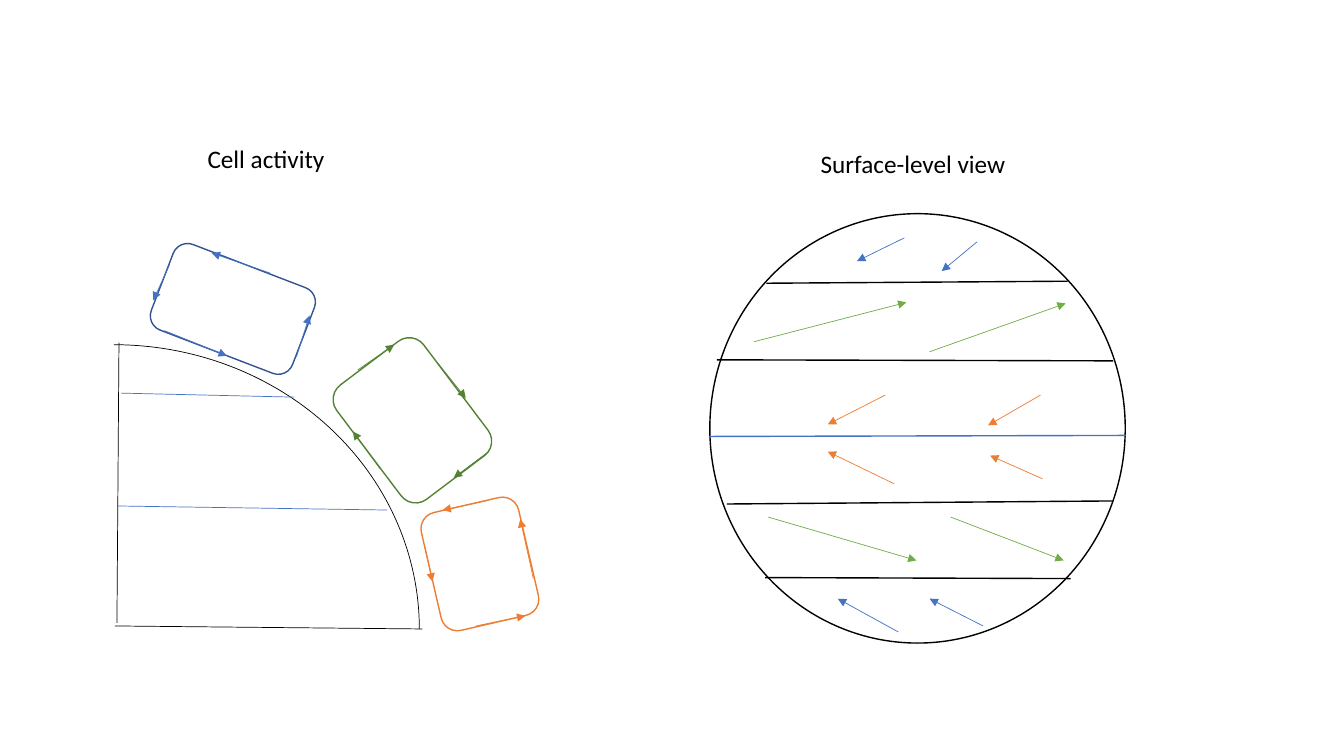
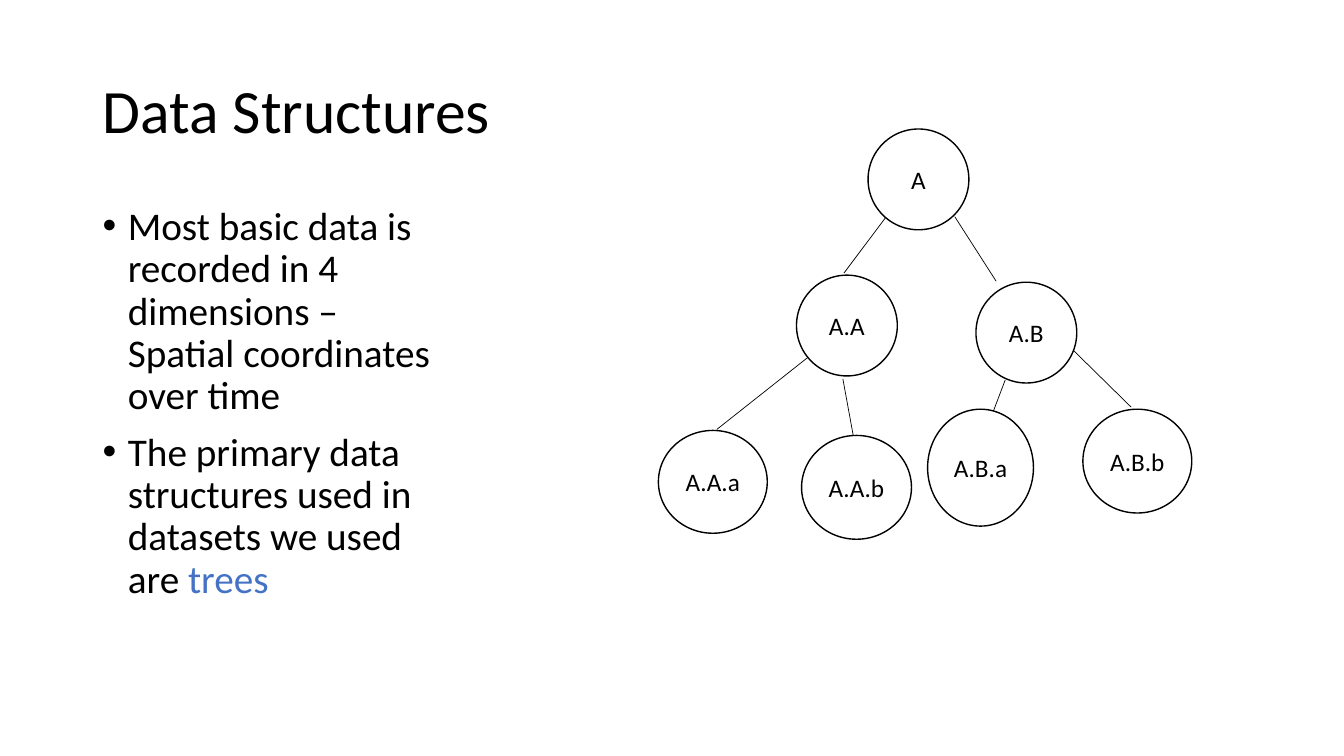
from dataclasses import dataclass
from typing import Optional

import pptx
import pptx.dml.color
import pptx.enum.shapes
import pptx.enum.text
import pptx.oxml
import pptx.oxml.ns
import pptx.util
from pptx.util import Inches

RGBColor = pptx.dml.color.RGBColor
MSO_SHAPE = pptx.enum.shapes.MSO_SHAPE
BLACK = RGBColor(0x00, 0x00, 0x00)
WHITE = RGBColor(0xFF, 0xFF, 0xFF)
BLUE = RGBColor(0x44, 0x72, 0xC4)
NAVY = RGBColor(0x32, 0x54, 0x91)
ORANGE = RGBColor(0xED, 0x7D, 0x31)
GREEN = RGBColor(0x70, 0xAD, 0x47)
FOREST = RGBColor(0x54, 0x82, 0x35)
FONT = "Calibri"
THIN = 0.5
THICK = 1
LABEL_SIZE = 18
Box = tuple[float, float, float, float]


@dataclass(frozen=True)
class Line:
    x1: float
    y1: float
    x2: float
    y2: float


@dataclass(frozen=True)
class LineGroup:
    color: RGBColor
    lines: list[Line]
    width: float = THIN
    arrow: bool = False


@dataclass(frozen=True)
class Cell:
    box: Box
    rotation: float
    outline: RGBColor
    flow: LineGroup


@dataclass(frozen=True)
class Node:
    label: str
    box: Box


def draw_lines(slide, group: LineGroup) -> None:
    for line in group.lines:
        connector = slide.shapes.add_connector(
            pptx.enum.shapes.MSO_CONNECTOR.STRAIGHT,
            Inches(line.x1), Inches(line.y1), Inches(line.x2), Inches(line.y2),
        )
        connector.line.color.rgb = group.color
        connector.line.width = pptx.util.Pt(group.width)
        properties = connector.element.spPr
        if group.arrow:
            stroke = properties.find(pptx.oxml.ns.qn("a:ln"))
            head = pptx.oxml.parse_xml(
                f'<a:tailEnd {pptx.oxml.ns.nsdecls("a")} type="triangle"/>'
            )
            stroke.append(head)
        properties.append(
            pptx.oxml.parse_xml(f'<a:effectLst {pptx.oxml.ns.nsdecls("a")}/>')
        )


def draw_outline(
    slide, kind: MSO_SHAPE, box: Box, color: RGBColor = BLACK,
    width: float = THICK, fill: Optional[RGBColor] = WHITE, rotation: float = 0,
):
    outline = slide.shapes.add_shape(kind, *map(Inches, box))
    outline.shadow.inherit = False
    outline.rotation = rotation
    if fill is None:
        outline.fill.background()
    else:
        outline.fill.solid()
        outline.fill.fore_color.rgb = fill
    outline.line.color.rgb = color
    outline.line.width = pptx.util.Pt(width)
    return outline


def add_run(paragraph, text: str, size: float, color: RGBColor = BLACK) -> None:
    run = paragraph.add_run()
    run.text = text
    run.font.name = FONT
    run.font.size = pptx.util.Pt(size)
    run.font.color.rgb = color


def add_text_frame(slide, box: Box):
    frame = slide.shapes.add_textbox(*map(Inches, box)).text_frame
    frame.word_wrap = True
    return frame


def draw_label(slide, text: str, box: Box) -> None:
    add_run(add_text_frame(slide, box).paragraphs[0], text, LABEL_SIZE)


def draw_title(slide, text: str) -> None:
    frame = add_text_frame(slide, (0.92, 0.4, 11.5, 1.45))
    frame.vertical_anchor = pptx.enum.text.MSO_ANCHOR.MIDDLE
    frame.paragraphs[0].line_spacing = 0.9
    add_run(frame.paragraphs[0], text, 44)


def draw_bullets(slide, box: Box, bullets: list[list[tuple[str, RGBColor]]]) -> None:
    frame = add_text_frame(slide, box)
    for index, parts in enumerate(bullets):
        paragraph = frame.add_paragraph() if index else frame.paragraphs[0]
        paragraph.line_spacing = 0.9
        paragraph.space_before = pptx.util.Pt(10)
        for text, color in parts:
            add_run(paragraph, text, 28, color)
        properties = paragraph._p.get_or_add_pPr()
        properties.set("marL", str(Inches(0.25)))
        properties.set("indent", str(Inches(-0.25)))
        for mark in ('buFont {} typeface="Arial"', 'buChar {} char="•"'):
            properties.append(pptx.oxml.parse_xml(
                f'<a:{mark.format(pptx.oxml.ns.nsdecls("a"))}/>'
            ))


def draw_node(slide, node: Node) -> None:
    circle = draw_outline(slide, MSO_SHAPE.OVAL, node.box)
    frame = circle.text_frame
    frame.word_wrap = True
    frame.vertical_anchor = pptx.enum.text.MSO_ANCHOR.MIDDLE
    frame.paragraphs[0].alignment = pptx.enum.text.PP_ALIGN.CENTER
    add_run(frame.paragraphs[0], node.label, LABEL_SIZE)


GLOBE_LINES = [
    LineGroup(BLACK, [
        Line(7.6, 2.81, 10.59, 2.79),
        Line(7.11, 3.57, 11.04, 3.58),
        Line(7.21, 5, 11.04, 4.97),
        Line(7.59, 5.73, 10.62, 5.74),
    ], THICK),
    LineGroup(BLUE, [Line(7.04, 4.33, 11.17, 4.32)], THICK),
    LineGroup(ORANGE, [
        Line(10.32, 3.92, 9.8, 4.22),
        Line(8.78, 3.92, 8.21, 4.21),
        Line(10.34, 4.75, 9.82, 4.52),
        Line(8.87, 4.8, 8.21, 4.48),
    ], arrow=True),
    LineGroup(GREEN, [
        Line(7.48, 3.39, 8.99, 3),
        Line(9.22, 3.49, 10.57, 3.01),
        Line(7.62, 5.13, 9.09, 5.56),
        Line(9.43, 5.13, 10.55, 5.56),
    ], arrow=True),
    LineGroup(BLUE, [
        Line(8.97, 2.36, 8.5, 2.59),
        Line(9.69, 2.4, 9.34, 2.69),
        Line(8.91, 6.27, 8.31, 5.94),
        Line(9.75, 6.21, 9.22, 5.94),
    ], arrow=True),
]

QUADRANT_LINES = [
    LineGroup(BLACK, [Line(1.18, 3.4, 1.16, 6.18), Line(1.14, 6.21, 4.19, 6.24)]),
    LineGroup(BLUE, [Line(1.2, 3.9, 2.92, 3.94), Line(1.17, 5.02, 3.84, 5.06)]),
]

CELLS = [
    Cell((1.56, 2.61, 1.5, 0.91), 21, NAVY, LineGroup(BLUE, [
        Line(2.68, 2.71, 2.1, 2.51),
        Line(2.94, 3.54, 3.07, 3.13),
        Line(1.68, 2.63, 1.52, 2.98),
        Line(1.63, 3.28, 2.25, 3.53),
    ], arrow=True)),
    Cell((4.16, 5.1, 1.2, 0.99), 77, ORANGE, LineGroup(ORANGE, [
        Line(4.72, 6.21, 5.21, 6.11),
        Line(4.82, 4.97, 4.39, 5.06),
        Line(5.29, 5.74, 5.16, 5.15),
        Line(4.21, 5.41, 4.29, 5.77),
    ], arrow=True)),
    Cell((3.38, 3.63, 1.42, 1.08), 53, FOREST, LineGroup(FOREST, [
        Line(4.82, 4.5, 4.5, 4.74),
        Line(4.34, 3.6, 4.62, 3.95),
        Line(3.55, 3.67, 3.91, 3.42),
        Line(3.77, 4.65, 3.5, 4.28),
    ], arrow=True)),
]

TREE_NODES = [
    Node("A", (8.61, 1.28, 1, 1)),
    Node("A.A", (7.9, 2.73, 1, 1)),
    Node("A.B", (9.68, 2.8, 1, 1)),
    Node("A.B.a", (9.2, 4.06, 1.05, 1.16)),
    Node("A.B.b", (10.74, 4.06, 1.08, 1.03)),
    Node("A.A.a", (6.53, 4.27, 1.08, 1.02)),
    Node("A.A.b", (7.95, 4.32, 1.09, 1.03)),
]

TREE_BRANCHES = LineGroup(BLACK, [
    Line(8.79, 2.15, 8.37, 2.71),
    Line(9.47, 2.15, 9.88, 2.79),
    Line(9.97, 3.77, 9.78, 4.27),
    Line(10.65, 3.48, 11.22, 4.04),
    Line(8.02, 3.54, 7.11, 4.26),
    Line(8.36, 3.76, 8.47, 4.36),
])

BULLETS = [
    [("Most basic data is recorded in 4 dimensions – Spatial coordinates over time", BLACK)],
    [("The primary data structures used in datasets we used are ", BLACK), ("trees", BLUE)],
]


def build_circulation(slide) -> None:
    draw_outline(slide, MSO_SHAPE.OVAL, (7.04, 2.12, 4.12, 4.26))
    for group in GLOBE_LINES:
        draw_lines(slide, group)
    draw_label(slide, "Surface-level view", (8.04, 1.42, 2.33, 0.4))
    draw_outline(slide, MSO_SHAPE.ARC, (-1.9, 3.42, 6.06, 5.64), width=THIN, fill=None)
    for group in QUADRANT_LINES:
        draw_lines(slide, group)
    for cell in CELLS:
        draw_outline(
            slide, MSO_SHAPE.ROUNDED_RECTANGLE, cell.box, cell.outline,
            rotation=cell.rotation,
        )
        draw_lines(slide, cell.flow)
    draw_label(slide, "Cell activity", (1.96, 1.37, 1.39, 0.4))


def build_data_structures(slide) -> None:
    draw_title(slide, "Data Structures")
    draw_bullets(slide, (0.92, 2, 3.62, 4.76), BULLETS)
    draw_lines(slide, TREE_BRANCHES)
    for node in TREE_NODES:
        draw_node(slide, node)


presentation = pptx.Presentation()
presentation.slide_width = Inches(13.33)
presentation.slide_height = Inches(7.5)
blank = presentation.slide_layouts[6]
for build in (build_circulation, build_data_structures):
    build(presentation.slides.add_slide(blank))
presentation.save("out.pptx")
